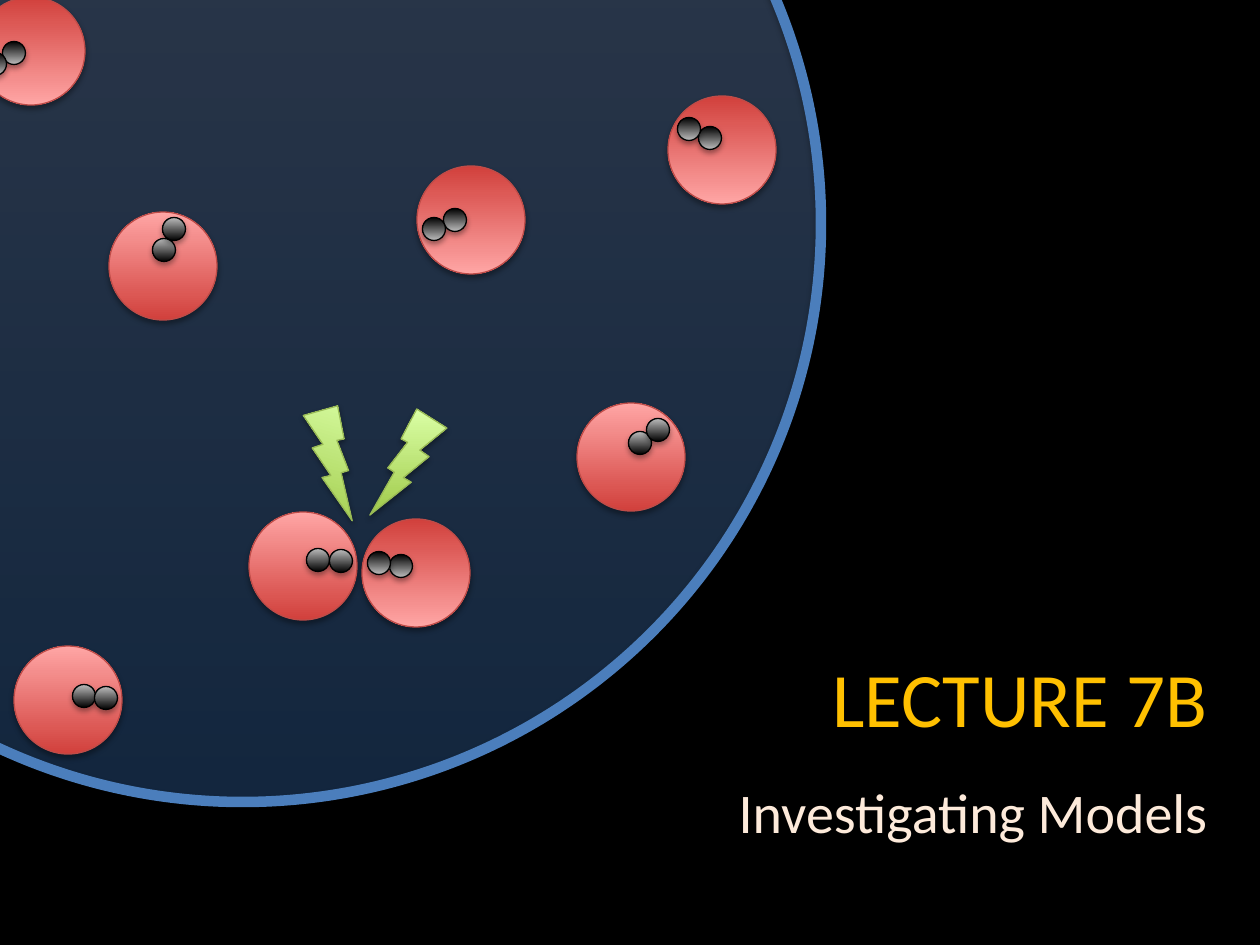
import pptx
import pptx.util
import pptx.oxml.ns
from lxml import etree
from pptx.dml.color import RGBColor
from pptx.enum.shapes import MSO_SHAPE
from pptx.enum.text import MSO_ANCHOR, PP_ALIGN

PX = 914400 / 126
qn = pptx.oxml.ns.qn

BLACK = RGBColor(0x00, 0x00, 0x00)
GREY = RGBColor(0xBD, 0xBD, 0xBD)
RED, PINK = RGBColor(0xD1, 0x40, 0x3C), RGBColor(0xFF, 0xA6, 0xA5)
RED_LINE = RGBColor(0xBF, 0x4C, 0x48)
GREEN, LIME = RGBColor(0xA0, 0xCA, 0x4A), RGBColor(0xDA, 0xFF, 0xA5)
GREEN_LINE = RGBColor(0x98, 0xB9, 0x55)
BLUE, SKY = RGBColor(0x3F, 0x80, 0xCE), RGBColor(0xA4, 0xC4, 0xFF)
BLUE_LINE = RGBColor(0x4B, 0x7E, 0xBC)
GOLD = RGBColor(0xFF, 0xC0, 0x00)
CREAM = RGBColor(0xFD, 0xEA, 0xDA)


def px(n):
    return pptx.util.Emu(round(n * PX))


def add_shape(kind, x, y, w, h, colors, line, width=0.75, angle=90):
    """Add a shape with a gradient (or no fill), an outline and a soft shadow."""
    sp = s.shapes.add_shape(kind, px(x), px(y), px(w), px(h))
    if colors:
        sp.fill.gradient()
        sp.fill.gradient_angle = angle
        for stop, color in zip(sp.fill.gradient_stops, colors):
            stop.color.rgb = color
    else:
        sp.fill.background()
    sp.line.color.rgb = line
    sp.line.width = pptx.util.Pt(width)
    sp.shadow.inherit = False
    effects = sp._element.spPr.find(qn("a:effectLst"))
    shadow = etree.SubElement(effects, qn("a:outerShdw"), blurRad="39370", dist="22860",
                              dir="5400000", rotWithShape="0")
    color = etree.SubElement(shadow, qn("a:srgbClr"), val="000000")
    etree.SubElement(color, qn("a:alpha"), val="35000")
    return sp


prs = pptx.Presentation()
prs.slide_width, prs.slide_height = px(1260), px(945)
s = prs.slides.add_slide(prs.slide_layouts[6])
s.background.fill.solid()
s.background.fill.fore_color.rgb = BLACK

# Title and subtitle
tf = s.shapes.add_textbox(0, px(550), px(1220), px(395)).text_frame
tf.word_wrap = True
tf.vertical_anchor = MSO_ANCHOR.MIDDLE
lines = [
    ("LECTURE 7B", 0, GOLD, {"name": "Calibri", "size": pptx.util.Pt(44)}),
    ("Investigating Models", 20, CREAM, {"name": "Calibri", "size": pptx.util.Pt(32)}),
]
for i, (text, space, color, font) in enumerate(lines):
    p = tf.add_paragraph() if i else tf.paragraphs[0]
    p.alignment = PP_ALIGN.RIGHT
    if space:
        p.space_before = pptx.util.Pt(space)
    r = p.add_run()
    r.text = text
    r.font.color.rgb = color
    for key, value in font.items():
        setattr(r.font, key, value)

# Large container: translucent fill, then a thick rim
disc = (MSO_SHAPE.OVAL, -336, -355, 1157, 1157)
sp = add_shape(*disc, (BLUE, SKY), BLUE_LINE)
for color in sp._element.spPr.find(qn("a:gradFill")).iter(qn("a:srgbClr")):
    etree.SubElement(color, qn("a:alpha"), val="29000")
add_shape(*disc, None, BLUE_LINE, width=6)

# Balls, each holding a pair of atoms: centres, and gradient angle
LIGHT_TOP, DARK_TOP = 90, 270
BALL, ATOM = 108, 23
balls = [
    ((31, 51), (14, 53), (-5, 64), DARK_TOP),
    ((471, 220), (455, 220), (434, 229), DARK_TOP),
    ((303, 566), (318, 560), (341, 561), LIGHT_TOP),
    ((163, 266), (164, 250), (174, 229), LIGHT_TOP),
    ((68, 700), (84, 696), (106, 698), LIGHT_TOP),
    ((631, 457), (640, 443), (658, 430), LIGHT_TOP),
    ((722, 150), (710, 138), (689, 129), DARK_TOP),
    ((416, 573), (401, 566), (379, 563), DARK_TOP),
]
for ball, atom1, atom2, angle in balls:
    for (cx, cy), d, colors, line in [
        (ball, BALL, (RED, PINK), RED_LINE),
        (atom1, ATOM, (BLACK, GREY), BLACK),
        (atom2, ATOM, (BLACK, GREY), BLACK),
    ]:
        add_shape(MSO_SHAPE.OVAL, cx - d / 2, cy - d / 2, d, d, colors, line, angle=angle)

# Lightning bolts at the collision
for x, y, rotation, flip in [(292, 406, 16.6, False), (370, 409, 0, True)]:
    sp = add_shape(MSO_SHAPE.LIGHTNING_BOLT, x, y, 77, 106, (GREEN, LIME), GREEN_LINE)
    sp.rotation = rotation
    if flip:
        sp._element.spPr.find(qn("a:xfrm")).set("flipH", "1")

prs.save("out.pptx")
